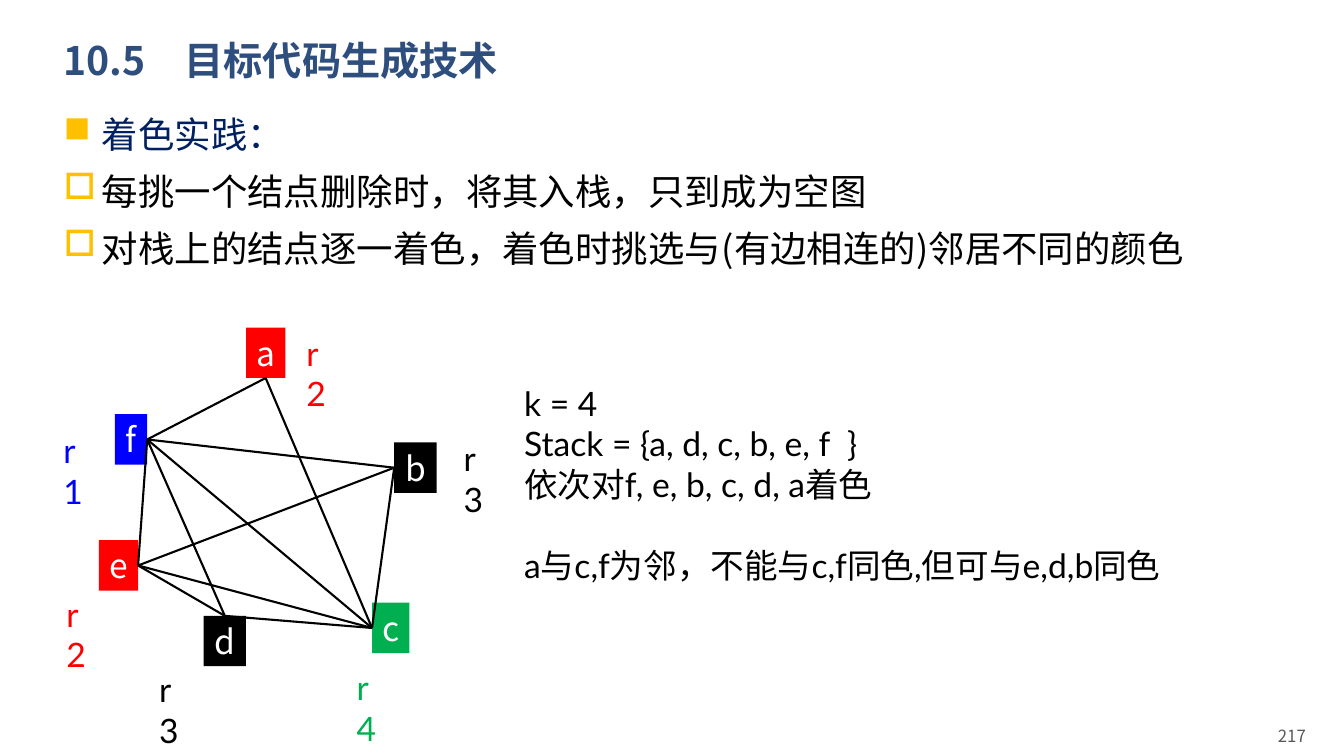
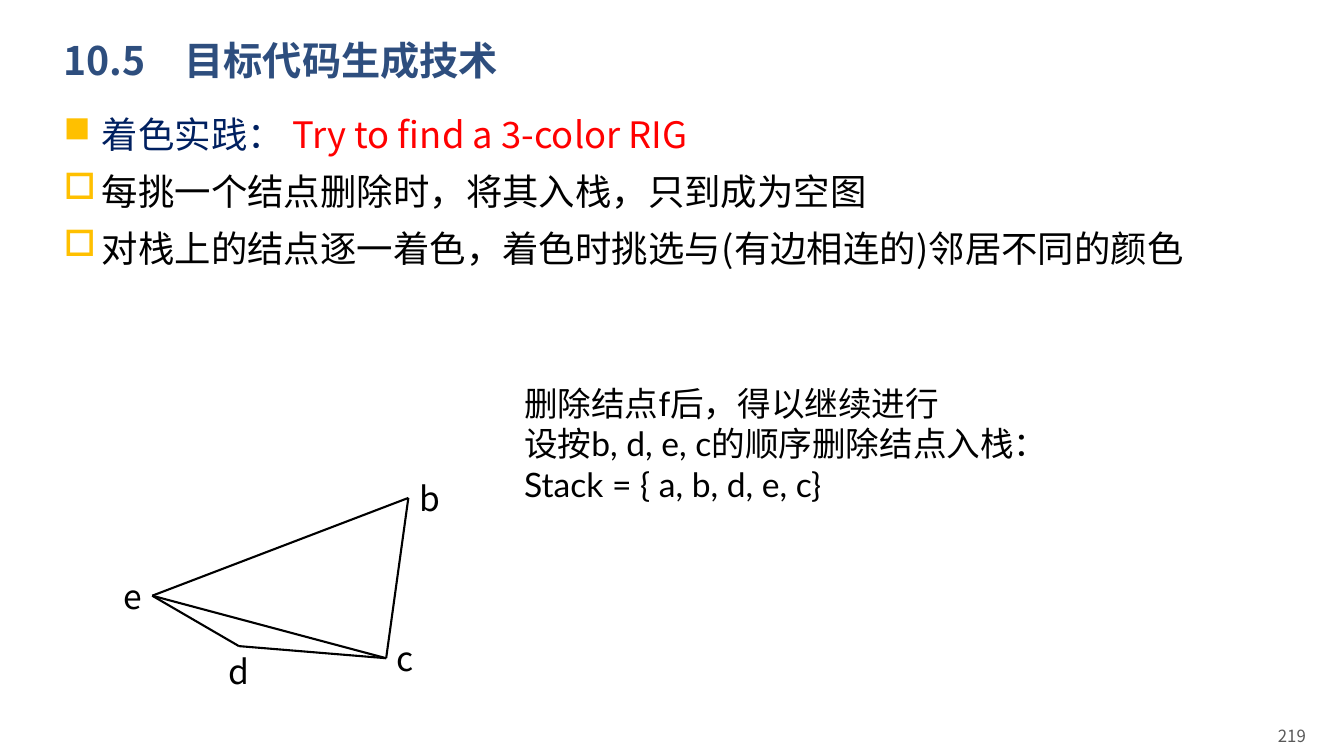
from lxml import etree
from pptx import Presentation
from pptx.dml.color import RGBColor
from pptx.enum.shapes import MSO_CONNECTOR, MSO_SHAPE
from pptx.enum.text import MSO_ANCHOR, MSO_AUTO_SIZE, PP_ALIGN
from pptx.oxml.ns import qn
from pptx.util import Pt

PX = 9144
CJK = "Noto Sans CJK SC"
LATO = "Lato"

BLACK = RGBColor(0x00, 0x00, 0x00)
WHITE = RGBColor(0xFF, 0xFF, 0xFF)
RED = RGBColor(0xFF, 0x00, 0x00)
GREEN = RGBColor(0x00, 0xB0, 0x50)
BLUE = RGBColor(0x00, 0x00, 0xFF)
NAVY = RGBColor(0x00, 0x20, 0x60)
TITLE_BLUE = RGBColor(0x2E, 0x4E, 0x7E)
GOLD = RGBColor(0xFF, 0xC0, 0x00)
GRAY = RGBColor(0x59, 0x59, 0x59)

TITLE = "10.5　目标代码生成技术"
TOPIC = "着色实践："
RULES = [
    "每挑一个结点删除时，将其入栈，只到成为空图",
    "对栈上的结点逐一着色，着色时挑选与(有边相连的)邻居不同的颜色",
]

TOP, LEFT, BOTTOM, RIGHT = range(4)
NODE_HEIGHT = 50
NODES = {
    "a": (244, 325, 39, BOTTOM),
    "b": (391, 439, 42, LEFT),
    "c": (369, 598, 37, LEFT),
    "d": (202, 611, 42, TOP),
    "e": (98, 536, 39, RIGHT),
    "f": (114, 411, 32, RIGHT),
}
EDGES = ["ac", "af", "cf", "cd", "fd", "ec", "ed", "ef", "eb", "cb", "fb"]

REGISTER_COLORS = {"r1": BLUE, "r2": RED, "r3": BLACK, "r4": GREEN}
ASSIGNMENT = {
    "a": ("r2", 294, 325),
    "b": ("r3", 450, 430),
    "c": ("r4", 344, 657),
    "d": ("r3", 148, 659),
    "e": ("r2", 56, 584),
    "f": ("r1", 53, 422),
}


def px(*lengths):
    return [length * PX for length in lengths]


def place(sp, *box):
    sp.left, sp.top, sp.width, sp.height = px(*box)


def format_run(r, size, color, font, bold=False):
    r.font.size = Pt(size)
    r.font.color.rgb = color
    r.font.bold = bold
    r.font.name = font
    ea = etree.SubElement(r.font._element, qn("a:ea"))
    ea.set("typeface", font)


def set_bullet(p, char):
    pPr = p._p.get_or_add_pPr()
    pPr.set("marL", str(38 * PX))
    pPr.set("indent", str(-38 * PX))
    clr = etree.SubElement(pPr, qn("a:buClr"))
    etree.SubElement(clr, qn("a:srgbClr")).set("val", str(GOLD))
    etree.SubElement(pPr, qn("a:buFont")).set("typeface", "Wingdings")
    etree.SubElement(pPr, qn("a:buChar")).set("char", char)


def add_text(slide, box, lines, size, color, font):
    sp = slide.shapes.add_textbox(*px(*box))
    tf = sp.text_frame
    tf.word_wrap = True
    tf.text = "\n".join(lines)
    for p in tf.paragraphs:
        format_run(p.runs[0], size, color, font)
    return tf


def set_title(slide):
    sp = slide.shapes.title
    place(sp, 53, 28, 1150, 68)
    tf = sp.text_frame
    tf.text = TITLE
    tf.auto_size = MSO_AUTO_SIZE.NONE
    tf.vertical_anchor = MSO_ANCHOR.MIDDLE
    p = tf.paragraphs[0]
    p.alignment = PP_ALIGN.LEFT
    p.line_spacing = 0.9
    format_run(p.runs[0], 28, TITLE_BLUE, CJK, bold=True)


def set_body(slide, remark):
    sp = slide.placeholders[1]
    place(sp, 53, 106, 1251, 249)
    tf = sp.text_frame
    tf.text = "\n".join([TOPIC] + RULES)
    tf.auto_size = MSO_AUTO_SIZE.NONE
    for i, p in enumerate(tf.paragraphs):
        set_bullet(p, "o" if i else "n")
        p.alignment = PP_ALIGN.JUSTIFY
        p.line_spacing = 1.0
        p.space_before = Pt(9.5 if i else 0)
        format_run(p.runs[0], 26, BLACK if i else NAVY, CJK)
    if remark:
        r = tf.paragraphs[0].add_run()
        r.text = remark
        format_run(r, 26, RED, CJK)


def add_page_number(slide, number):
    tf = add_text(slide, (916, 710, 389, 40), [number], 12, GRAY, CJK)
    tf.vertical_anchor = MSO_ANCHOR.MIDDLE
    tf.paragraphs[0].alignment = PP_ALIGN.RIGHT


def add_node(slide, name, dx, dy, fill):
    left, top, width, _ = NODES[name]
    box = px(left + dx, top + dy, width, NODE_HEIGHT)
    sp = slide.shapes.add_shape(MSO_SHAPE.RECTANGLE, *box)
    sp.shadow.inherit = False
    sp.line.fill.background()
    if fill is None:
        sp.fill.background()
    else:
        sp.fill.solid()
        sp.fill.fore_color.rgb = fill
    tf = sp.text_frame
    tf.margin_left = tf.margin_right = tf.margin_top = tf.margin_bottom = 0
    tf.vertical_anchor = MSO_ANCHOR.MIDDLE
    tf.text = name
    p = tf.paragraphs[0]
    p.alignment = PP_ALIGN.CENTER
    format_run(p.runs[0], 24, BLACK if fill is None else WHITE, CJK)
    return sp


def add_edge(slide, nodes, start, end):
    line = slide.shapes.add_connector(MSO_CONNECTOR.STRAIGHT, 0, 0, 0, 0)
    line.begin_connect(nodes[start], NODES[start][3])
    line.end_connect(nodes[end], NODES[end][3])
    line.line.color.rgb = BLACK
    line.line.width = Pt(1.5)
    etree.SubElement(line._element.spPr, qn("a:effectLst"))


def add_graph(slide, names, dx=0, dy=0, fills=None):
    fills = fills or {}
    nodes = {n: add_node(slide, n, dx, dy, fills.get(n)) for n in names}
    for start, end in EDGES:
        if start in nodes and end in nodes:
            add_edge(slide, nodes, start, end)


def add_register_labels(slide):
    for register, left, top in ASSIGNMENT.values():
        color = REGISTER_COLORS[register]
        add_text(slide, (left, top, 50, 50), [register], 24, color, LATO)


def add_base_slide(prs, number, remark=""):
    slide = prs.slides.add_slide(prs.slide_layouts[1])
    set_title(slide)
    set_body(slide, remark)
    add_page_number(slide, number)
    return slide


def add_coloring_slide(prs):
    slide = add_base_slide(prs, "217")
    tf = add_text(slide, (510, 375, 725, 212), [
        "k = 4",
        "Stack = {a, d, c, b, e, f  }",
        "依次对f, e, b, c, d, a着色",
        "a与c,f为邻，不能与c,f同色,但可与e,d,b同色",
    ], 24, BLACK, LATO)
    tf.paragraphs[3].space_before = Pt(29)
    fills = {n: REGISTER_COLORS[a[0]] for n, a in ASSIGNMENT.items()}
    add_graph(slide, "abcdef", fills=fills)
    add_register_labels(slide)


def add_removal_slide(prs):
    slide = add_base_slide(prs, "219", " Try to find a 3-color RIG")
    add_graph(slide, "bcde", dx=14, dy=30)
    add_text(slide, (510, 375, 823, 131), [
        "删除结点f后，得以继续进行",
        "设按b, d, e, c的顺序删除结点入栈：",
        "Stack = { a, b, d, e, c}",
    ], 24, BLACK, LATO)


def main():
    prs = Presentation()
    prs.slide_width, prs.slide_height = px(1333, 750)
    add_coloring_slide(prs)
    add_removal_slide(prs)
    prs.save("out.pptx")


if __name__ == "__main__":
    main()
